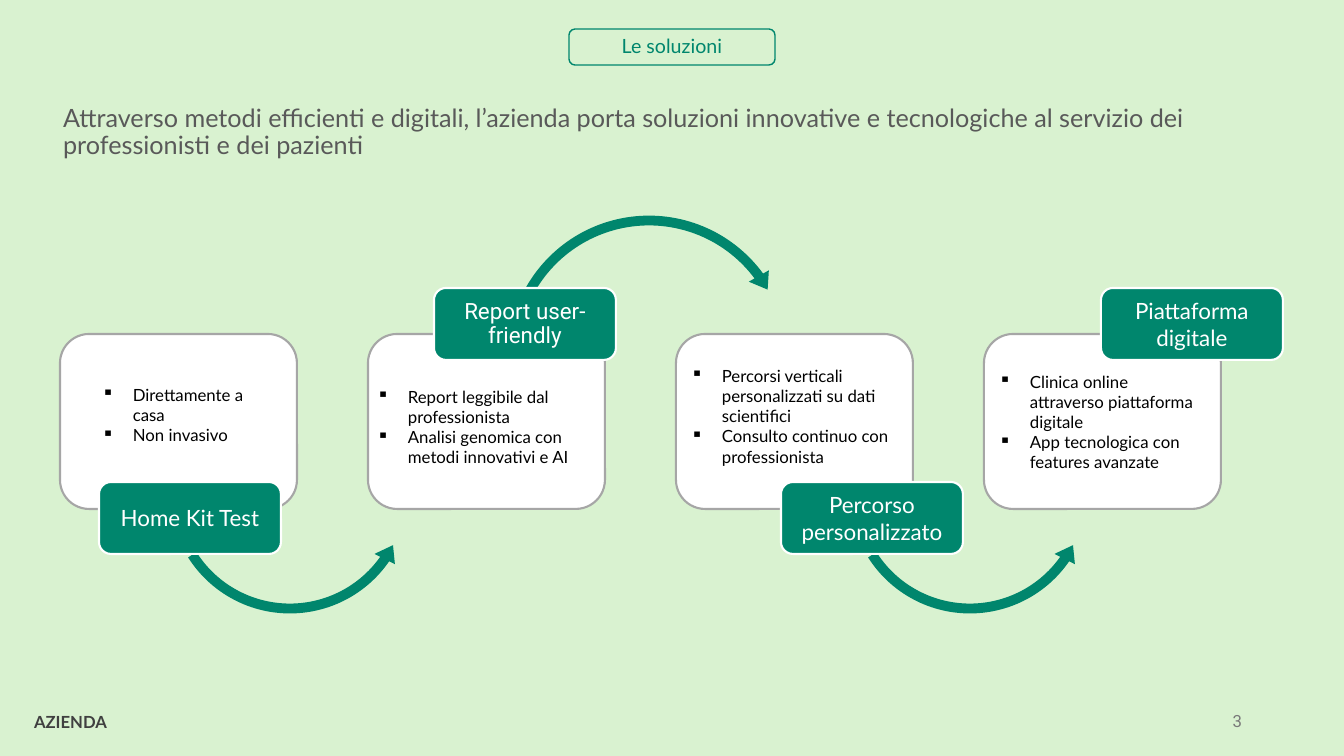
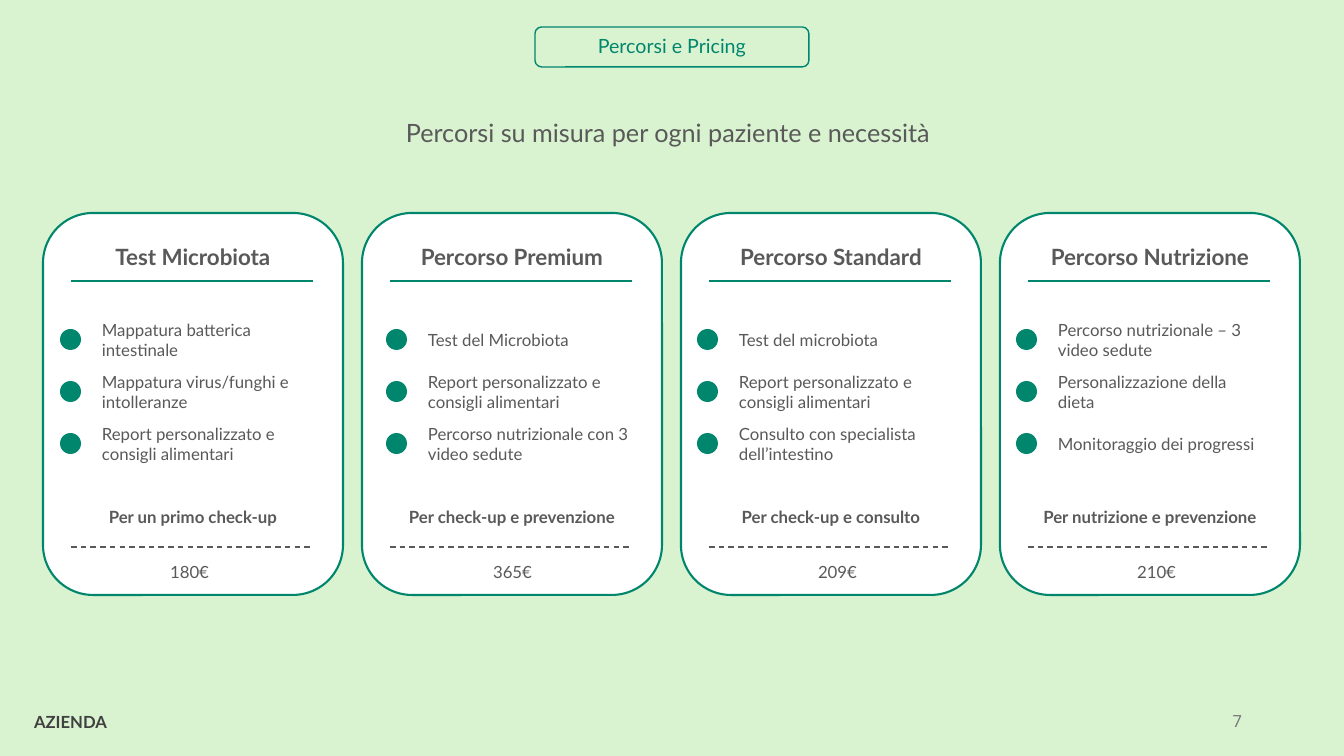
from dataclasses import dataclass

from lxml.etree import SubElement
from pptx import Presentation
from pptx.dml.color import RGBColor
from pptx.enum.dml import MSO_LINE
from pptx.enum.shapes import MSO_CONNECTOR, MSO_SHAPE as Shape
from pptx.enum.text import MSO_ANCHOR, MSO_AUTO_SIZE, PP_ALIGN as Align
from pptx.oxml.ns import qn
from pptx.util import Pt

# Shared look
MINT = RGBColor(0xD9, 0xF2, 0xD0)
GREEN = RGBColor(0x00, 0x86, 0x6D)
WHITE = RGBColor(0xFF, 0xFF, 0xFF)
BLACK = RGBColor(0x00, 0x00, 0x00)
TEXT_GRAY = RGBColor(0x59, 0x59, 0x59)
BORDER_GRAY = RGBColor(0xA6, 0xA6, 0xA6)
NUMBER_GRAY = RGBColor(0x79, 0x79, 0x79)
BRAND_GRAY = RGBColor(0x40, 0x40, 0x40)
BODY_FONT, ACCENT_FONT = "Lato", "Roboto"
PAGE_WIDTH, PAGE_HEIGHT = 1344, 756
EMU_PER_PX = 12192000 / PAGE_WIDTH
TITLE_ONLY = 5


@dataclass
class Step:
    label: str
    label_offset: tuple
    bullets: list
    bullet_box: tuple  # left, top and width, relative to the card
    font: str = BODY_FONT
    spacing: float = 1.0


@dataclass
class Plan:
    name: str
    features: list
    purpose: str
    price: str
    dot_left: int
    price_left: int


STEPS = [
    Step("Home Kit Test", (39, 148),
         ["Direttamente a casa", "Non invasivo"], (32, 26, 182)),
    Step("Report user-friendly", (66, -46),
         ["Report leggibile dal professionista",
          "Analisi genomica con metodi innovativi e AI"], (-1, 38, 243),
         ACCENT_FONT, 0.9),
    Step("Percorso personalizzato", (105, 148),
         ["Percorsi verticali personalizzati su dati scientifici",
          "Consulto continuo con professionista"], (5, 27, 267)),
    Step("Piattaforma digitale", (117, -46),
         ["Clinica online attraverso piattaforma digitale",
          "App tecnologica con features avanzate"], (5, 33, 221)),
]

PLANS = [
    Plan("Test Microbiota",
         ["Mappatura batterica intestinale",
          "Mappatura virus/funghi e intolleranze",
          "Report personalizzato e consigli alimentari"],
         "Per un primo check-up", "180€", 17, 36),
    Plan("Percorso Premium",
         ["Test del Microbiota",
          "Report personalizzato e consigli alimentari",
          "Percorso nutrizionale con 3 video sedute"],
         "Per check-up e prevenzione", "365€", 24, 40),
    Plan("Percorso Standard",
         ["Test del microbiota",
          "Report personalizzato e consigli alimentari",
          "Consulto con specialista dell’intestino"],
         "Per check-up e consulto", "209€", 16, 46),
    Plan("Percorso Nutrizione",
         ["Percorso nutrizionale – 3 video sedute",
          "Personalizzazione della dieta",
          "Monitoraggio dei progressi"],
         "Per nutrizione e prevenzione", "210€", 16, 46),
]


def px(length):
    return round(length * EMU_PER_PX)


def write(shape, lines, size, color, align=Align.LEFT, font=BODY_FONT,
          bold=False, spacing=1.0, bullet_indent=0):
    """Fill a shape with evenly formatted, vertically centred paragraphs."""
    frame = shape.text_frame
    frame.word_wrap = True
    frame.auto_size = MSO_AUTO_SIZE.NONE
    frame.vertical_anchor = MSO_ANCHOR.MIDDLE
    for index, line in enumerate(lines):
        para = frame.add_paragraph() if index else frame.paragraphs[0]
        para.text = line
        para.alignment = align
        para.line_spacing = spacing
        if bullet_indent:
            props = para._p.get_or_add_pPr()
            props.set("marL", str(px(bullet_indent)))
            props.set("indent", str(-px(bullet_indent)))
            SubElement(props, qn("a:buChar"), char="▪")
        para.font.name = font
        para.font.size = Pt(size)
        para.font.bold = bold
        para.font.color.rgb = color


def add_text(page, box, lines, size, color, **style):
    shape = page.shapes.add_textbox(*map(px, box))
    write(shape, lines, size, color, **style)


def add_block(page, kind, box, fill=None, line=None, line_width=1.5):
    shape = page.shapes.add_shape(kind, *map(px, box))
    shape.shadow.inherit = False
    if fill is None:
        shape.fill.background()
    else:
        shape.fill.solid()
        shape.fill.fore_color.rgb = fill
    if line is None:
        shape.line.fill.background()
    else:
        shape.line.color.rgb = line
        shape.line.width = Pt(line_width)
    return shape


def add_rule(page, left, top, width, color, weight, dash=None):
    rule = page.shapes.add_connector(
        MSO_CONNECTOR.STRAIGHT, px(left), px(top), px(left + width), px(top))
    rule.line.color.rgb = color
    rule.line.width = Pt(weight)
    if dash:
        rule.line.dash_style = dash
    SubElement(rule._element.spPr, qn("a:effectLst"))


def add_page(deck, number, section, section_box, heading, heading_box, align):
    """Background, section pill, heading and footer of every page."""
    page = deck.slides.add_slide(deck.slide_layouts[TITLE_ONLY])
    page.background.fill.solid()
    page.background.fill.fore_color.rgb = MINT

    title = page.shapes.title
    title.left, title.top, title.width, title.height = map(px, heading_box)
    write(title, [heading], 18, TEXT_GRAY, align=align, spacing=0.9)

    pill = add_block(page, Shape.ROUNDED_RECTANGLE, section_box,
                     line=GREEN, line_width=1)
    write(pill, [section], 14, GREEN, align=Align.CENTER, spacing=0.9)

    add_text(page, (21, 707, 99, 34), ["AZIENDA"], 11.9, BRAND_GRAY,
             align=Align.CENTER, bold=True, spacing=0.8)
    add_text(page, (950, 701, 302, 40), [str(number)], 12, NUMBER_GRAY,
             align=Align.RIGHT, font=ACCENT_FONT)
    return page


def add_arrow(page, kind, left, top, size, adjustments):
    arrow = add_block(page, kind, (left, top, size, size), fill=GREEN)
    for index, value in enumerate(adjustments):
        arrow.adjustments[index] = value


def add_step(page, step, box):
    """White card with a bullet list and an overlapping label."""
    left, top = box[:2]
    add_block(page, Shape.ROUNDED_RECTANGLE, box, WHITE, BORDER_GRAY)
    text_left, text_top, text_width = step.bullet_box
    add_text(page, (left + text_left, top + text_top, text_width, 110),
             step.bullets, 12, BLACK, bullet_indent=31)

    label_left, label_top = step.label_offset
    label = add_block(page, Shape.ROUNDED_RECTANGLE,
                      (left + label_left, top + label_top, 182, 72),
                      GREEN, WHITE)
    frame = label.text_frame
    frame.margin_left = frame.margin_right = px(4)
    frame.margin_top = frame.margin_bottom = px(3)
    write(label, [step.label], 16, WHITE, align=Align.CENTER,
          font=step.font, spacing=step.spacing)


def add_plan(page, plan, box):
    """Pricing card: name, features, purpose and price."""
    left, top, width, _ = box
    rule_left, rule_width = left + 28, 242
    add_block(page, Shape.ROUNDED_RECTANGLE, box, WHITE, GREEN)
    add_text(page, (left, top + 24, width, 40), [plan.name], 16, TEXT_GRAY,
             align=Align.CENTER, bold=True)
    add_rule(page, rule_left, top + 68, rule_width, GREEN, 1.5)

    # Features
    dot_left = left + plan.dot_left
    for index, feature in enumerate(plan.features):
        row_top = top + 110 + 52 * index
        add_block(page, Shape.OVAL, (dot_left, row_top + 6, 21, 21), GREEN)
        add_text(page, (dot_left + 32, row_top, 221, 33), [feature], 12,
                 TEXT_GRAY)

    # Purpose and price
    add_text(page, (left, top + 286, width, 36), [plan.purpose], 12,
             TEXT_GRAY, align=Align.CENTER, bold=True)
    add_rule(page, rule_left, top + 334, rule_width, TEXT_GRAY, 1,
             MSO_LINE.DASH)
    add_text(page, (left + plan.price_left, top + 335, 221, 48), [plan.price],
             12, TEXT_GRAY, align=Align.CENTER)


def build_solutions(deck):
    page = add_page(
        deck, 3, "Le soluzioni", (569, 29, 206, 36),
        "Attraverso metodi efficienti e digitali, l’azienda porta soluzioni "
        "innovative e tecnologiche al servizio dei professionisti e dei "
        "pazienti", (53, 98, 1238, 69), Align.LEFT)
    add_arrow(page, Shape.CIRCULAR_ARROW, 501, 209, 296,
              (0.033, 4.086, 194.159, 125.755, 0.039))
    for left in (163, 843):
        add_arrow(page, Shape.LEFT_CIRCULAR_ARROW, left, 366, 254,
                  (0.039, 4.824, 20.936, 88.601, 0.045))
    for index, step in enumerate(STEPS):
        add_step(page, step, (60 + 308 * index, 334, 237, 175))


def build_pricing(deck):
    page = add_page(
        deck, 7, "Percorsi e Pricing", (535, 27, 274, 40),
        "Percorsi su misura per ogni paziente e necessità",
        (269, 100, 798, 69), Align.CENTER)
    for index, plan in enumerate(PLANS):
        add_plan(page, plan, (43 + 319 * index, 213, 300, 382))


def main():
    deck = Presentation()
    deck.slide_width, deck.slide_height = px(PAGE_WIDTH), px(PAGE_HEIGHT)
    build_solutions(deck)
    build_pricing(deck)
    deck.save("out.pptx")


if __name__ == "__main__":
    main()
